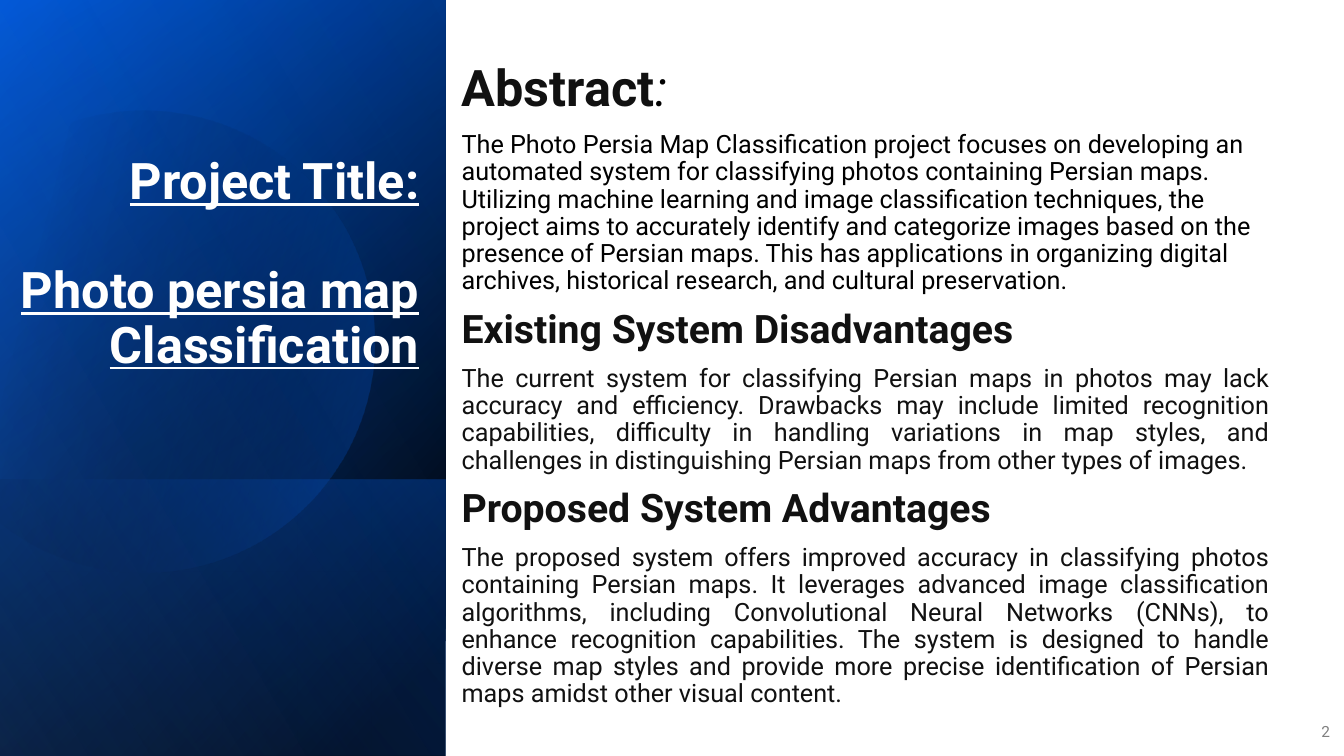
from dataclasses import dataclass, field
from math import cos, radians, sin, tan
from typing import Any

from lxml import etree
from pptx import Presentation
from pptx import util as u
from pptx.dml import color as col
from pptx.enum import shapes, text
from pptx.oxml import ns

WIDE, HIGH = 13.33, 7.5
SIDE = 33.16  # columns held by the blue panel
Box = tuple[float, float, float, float]  # left, top, width, height on a 100 x 100 grid


@dataclass(frozen=True)
class Theme:
    font: str = "Roboto"
    black: str = "000000"
    ink: str = "111111"
    white: str = "FFFFFF"
    gray: str = "808080"
    deep: str = "004EBF"
    blue: str = "0068FF"
    pale: str = "66A4FF"
    big: int = 36
    head: int = 28
    body: int = 18
    small: int = 11


THEME = Theme()


@dataclass(frozen=True)
class Stop:
    pos: int
    tint: str
    alpha: int = 100


@dataclass(frozen=True)
class Layer:
    top: float
    angle: int
    stops: tuple[Stop, Stop]


@dataclass(frozen=True)
class Run:
    words: str
    size: int
    tint: str = THEME.ink
    style: dict[str, bool] = field(default_factory=dict)


@dataclass(frozen=True)
class Para:
    runs: tuple[Run, ...]
    form: dict[str, Any] = field(default_factory=dict)


UNDER = [
    Layer(0, 50, (Stop(8, THEME.black), Stop(100, THEME.deep))),
    Layer(0, 30, (Stop(0, THEME.black, 0), Stop(99, THEME.blue, 46))),
    Layer(63.47, 130, (Stop(2, THEME.blue, 29), Stop(100, THEME.black, 30))),
]
DISC = (Stop(29, THEME.black, 0), Stop(100, THEME.blue, 43))
GLOSS = Layer(0, 120, (Stop(0, THEME.black, 0), Stop(99, THEME.pale, 11)))

BOLD = {"bold": True}
LINK = {"bold": True, "underline": True}
RIGHT = {"alignment": text.PP_ALIGN.RIGHT, "line_spacing": 0.9}
LEFT = {"alignment": text.PP_ALIGN.LEFT, "line_spacing": 0.9, "space_before": u.Pt(10)}
EVEN = LEFT | {"alignment": text.PP_ALIGN.JUSTIFY}

TITLE = [
    Para((Run("Project Title:", THEME.big, THEME.white, LINK),), RIGHT),
    Para((Run("Photo persia map\vClassification", THEME.big, THEME.white, LINK),),
         RIGHT | {"space_before": u.Pt(39)}),
]
BODY = [
    Para((Run("Abstract", THEME.big, style=BOLD),
          Run(": ", THEME.big, THEME.black, {"italic": True})), LEFT),
    Para((Run("The Photo Persia Map Classification project focuses on developing an "
              "automated system for classifying photos containing Persian maps. "
              "Utilizing machine learning and image classification techniques, the "
              "project aims to accurately identify and categorize images based on the "
              "presence of Persian maps. This has applications in organizing digital "
              "archives, historical research, and cultural preservation.",
              THEME.body, THEME.black),), LEFT),
    Para((Run("Existing System Disadvantages", THEME.head, style=BOLD),), LEFT),
    Para((Run("The current system for classifying Persian maps in photos may lack "
              "accuracy and efficiency. Drawbacks may include limited recognition "
              "capabilities, difficulty in handling variations in map styles, and "
              "challenges in distinguishing Persian maps from other types of images.",
              THEME.body),), EVEN),
    Para((Run("Proposed System Advantages", THEME.head, style=BOLD),), LEFT),
    Para((Run("The proposed system offers improved accuracy in classifying photos "
              "containing Persian maps. It leverages advanced image classification "
              "algorithms, including Convolutional Neural Networks (CNNs), to "
              "enhance recognition capabilities. The system is designed to handle "
              "diverse map styles and provide more precise identification of Persian "
              "maps amidst other visual content.", THEME.body),), EVEN),
]
PAGE = [Para((Run("2", THEME.small, THEME.gray),), {"alignment": text.PP_ALIGN.RIGHT})]


def place(box: Box) -> list[int]:
    """Turn columns and rows of the grid into lengths."""
    return [u.Inches(part * full / 100) for part, full in zip(box, (WIDE, HIGH) * 2)]


def blend(shape: Any, angle: int, stops: tuple[Stop, Stop]) -> None:
    """Fill with a clockwise-angled gradient, without line or shadow."""
    shape.shadow.inherit = False
    shape.line.fill.background()
    shape.fill.gradient()
    shape.fill.gradient_angle = 360 - angle
    for mark, stop in zip(shape.fill.gradient_stops, stops):
        mark.position = stop.pos / 100
        mark.color.rgb = col.RGBColor.from_string(stop.tint)
    tints = list(shape._element.spPr.iter(ns.qn("a:srgbClr")))
    for tint, stop in zip(tints, stops):
        if stop.alpha < 100:
            etree.SubElement(tint, ns.qn("a:alpha")).set("val", str(stop.alpha * 1000))


def sheet(slide: Any) -> None:
    shape = slide.shapes.add_shape(
        shapes.MSO_SHAPE.RECTANGLE, *place((0, 0, 100, 100)))
    shape.shadow.inherit = False
    shape.line.fill.background()
    shape.fill.solid()
    shape.fill.fore_color.rgb = col.RGBColor.from_string(THEME.white)


def panel(slide: Any, layer: Layer) -> None:
    """Draw a mirrored quarter-turned layer from its top to the slide's foot."""
    left, top, wide, high = place((0, layer.top, SIDE, 100 - layer.top))
    shift = (wide - high) // 2
    shape = slide.shapes.add_shape(
        shapes.MSO_SHAPE.RECTANGLE, left + shift, top - shift, high, wide)
    shape.rotation = 90
    shape._element.spPr.xfrm.set("flipH", "1")
    blend(shape, layer.angle, layer.stops)


def disc(slide: Any) -> None:
    """Draw the tilted circle that is cut just past the slide's left edge."""
    mid_x, mid_y, radius = (u.Inches(n) for n in (1.42, 3.35, 2.29))
    turns = [radians(a) for a in (-118, -90, 0, 90, 150)]
    dots = [(mid_x + radius * cos(a), mid_y + radius * sin(a)) for a in turns]
    pen = slide.shapes.build_freeform(*dots[0])
    pen.add_line_segments(dots[1:], close=True)
    shape = pen.convert_to_shape()
    lines = list(shape._element.spPr.iter(ns.qn("a:lnTo")))
    for line, start, end in zip(lines, turns, turns[1:]):
        pull = 4 / 3 * tan((end - start) / 4)
        grips = [(cos(a) - sign * pull * sin(a), sin(a) + sign * pull * cos(a))
                 for a, sign in ((start, 1), (end, -1))]
        line.tag = ns.qn("a:cubicBezTo")
        for i, (x, y) in enumerate(grips):
            grip = etree.Element(ns.qn("a:pt"))
            grip.set("x", str(round(mid_x + radius * x - shape.left)))
            grip.set("y", str(round(mid_y + radius * y - shape.top)))
            line.insert(i, grip)
    shape.rotation = -16.1
    blend(shape, 30, DISC)


def write(slide: Any, box: Box, paras: list[Para], form: dict[str, Any]) -> None:
    frame = slide.shapes.add_textbox(*place(box)).text_frame
    for name, value in ({"word_wrap": True} | form).items():
        setattr(frame, name, value)
    for i, item in enumerate(paras):
        para = frame.add_paragraph() if i else frame.paragraphs[0]
        for name, value in item.form.items():
            setattr(para, name, value)
        for part in item.runs:
            # A vertical tab in the words becomes a line break
            for j, line in enumerate(part.words.split("\v")):
                if j:
                    para.add_line_break()
                run = para.add_run()
                run.text = line
                look = {"name": THEME.font, "size": u.Pt(part.size)} | part.style
                for name, value in look.items():
                    setattr(run.font, name, value)
                run.font.color.rgb = col.RGBColor.from_string(part.tint)


def main() -> None:
    deck = Presentation()
    deck.slide_width, deck.slide_height = u.Inches(WIDE), u.Inches(HIGH)
    slide = deck.slides.add_slide(deck.slide_layouts[6])
    sheet(slide)
    for layer in UNDER:
        panel(slide, layer)
    disc(slide)
    panel(slide, GLOSS)
    low, top, mid = (text.MSO_ANCHOR[n] for n in ("BOTTOM", "TOP", "MIDDLE"))
    write(slide, (-3.38, 14.27, 35.33, 49.33), TITLE,
          {"vertical_anchor": low, "margin_bottom": u.Inches(1.06)})
    write(slide, (33.61, 8.4, 61.59, 90.93), BODY,
          {"vertical_anchor": top, "margin_top": 0})
    write(slide, (96.02, 94.13, 3.68, 5.33), PAGE, {"vertical_anchor": mid})
    deck.save("out.pptx")


if __name__ == "__main__":
    main()
